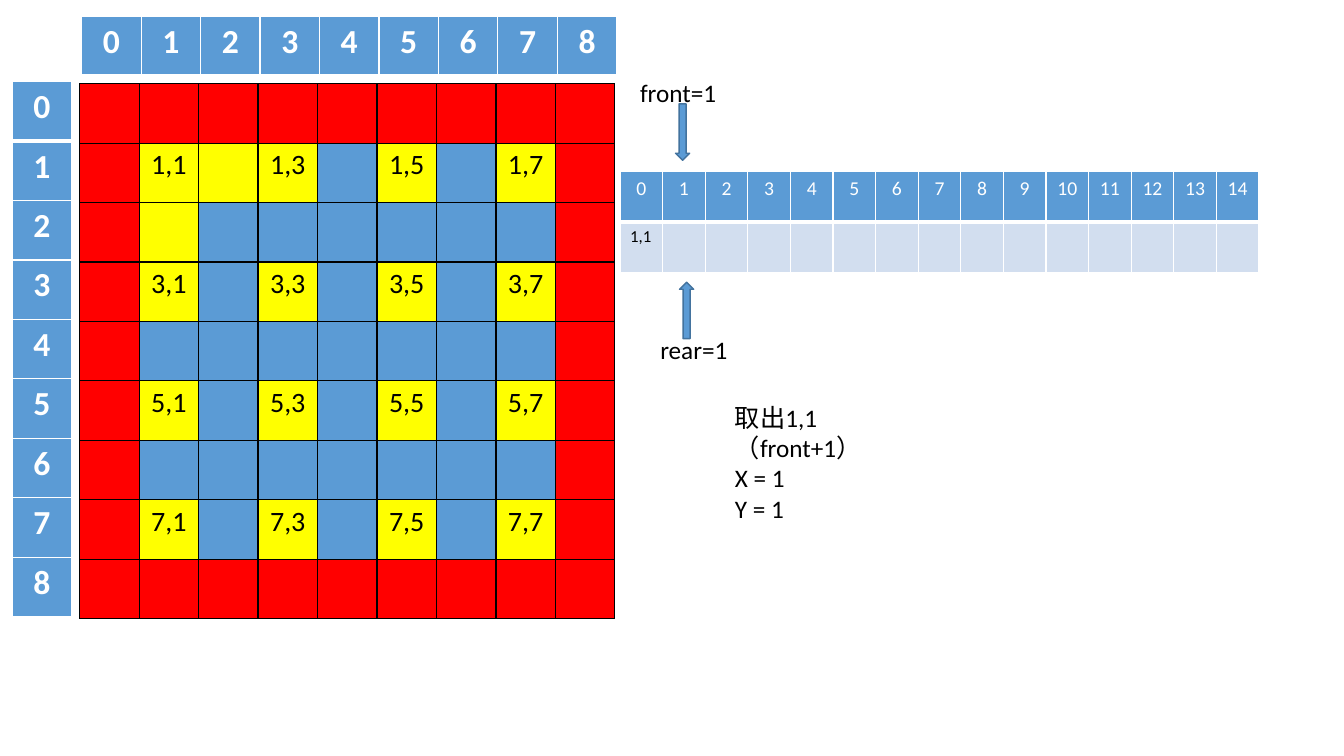
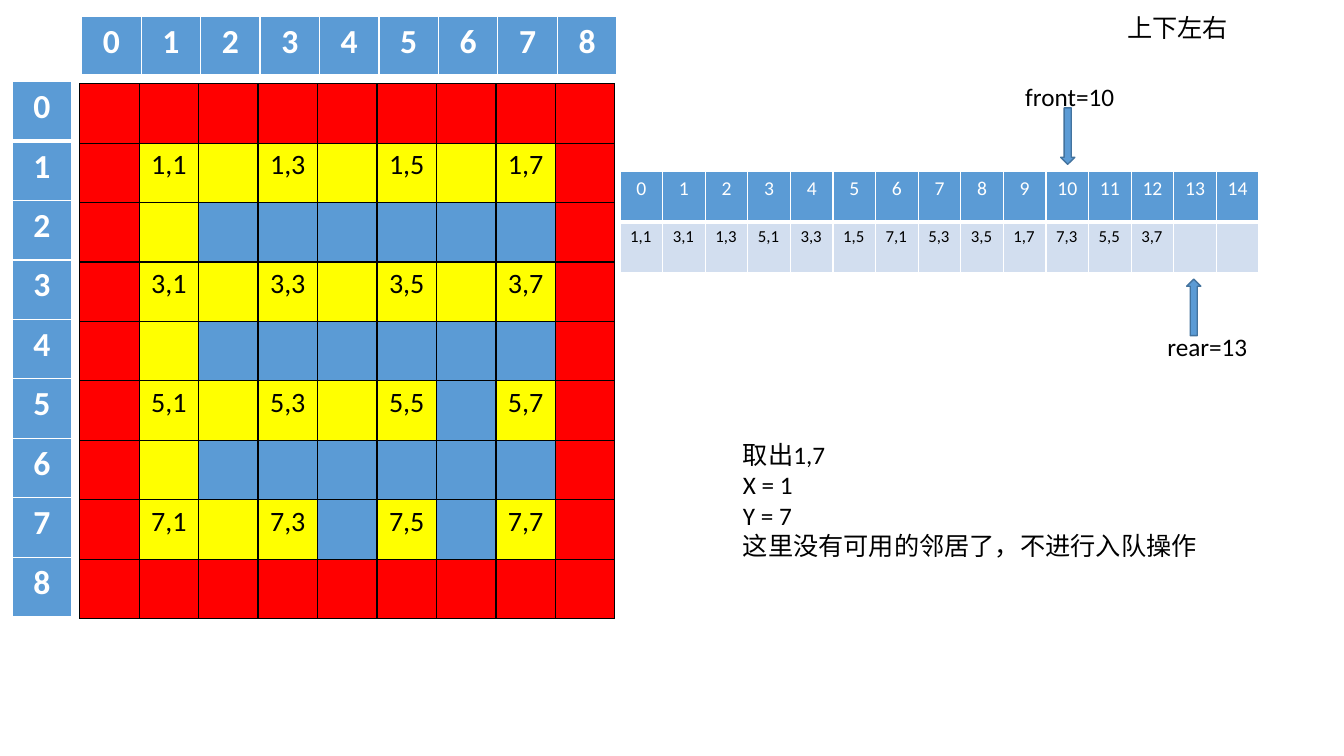
from pptx import Presentation
from pptx.dml.color import RGBColor
from pptx.enum.shapes import MSO_SHAPE
from pptx.enum.text import PP_ALIGN
from pptx.oxml.ns import qn
from pptx.util import Inches, Pt
from lxml import etree

UP = MSO_SHAPE.UP_ARROW
LEFT, MID = PP_ALIGN.LEFT, PP_ALIGN.CENTER
FONT = "Calibri"
BLUE, PALE, EDGE = "5B9BD5", "D2DEEF", "43739E"
RED, GOLD, BLACK, WHITE = "FF0000", "FFFF00", "000000", "FFFFFF"
SIZE, SLOTS = 9, 15
SIDE = 5.31
STEP = SIDE / SIZE


def color(code):
    return RGBColor.from_string(code)


def write(para, text, size, ink, bold=False, align=LEFT):
    para.alignment = align
    run = para.add_run()
    run.text = text
    font = run.font
    font.name, font.size, font.bold = FONT, Pt(size), bold
    font.color.rgb = color(ink)


def border(cell, ink, top=1, bottom=1):
    props = cell._tc.get_or_add_tcPr()
    for tag, width in (("lnL", 1), ("lnR", 1), ("lnT", top), ("lnB", bottom)):
        line = etree.SubElement(props, qn("a:" + tag), w=str(Pt(width)))
        fill = etree.SubElement(line, qn("a:solidFill"))
        etree.SubElement(fill, qn("a:srgbClr"), val=ink)


def paint(cell, fill):
    cell.fill.solid()
    cell.fill.fore_color.rgb = color(fill)


def table(slide, box, rows, cols):
    x, y, w, h = map(Inches, box)
    grid = slide.shapes.add_table(rows, cols, x, y, w, h).table
    grid.first_row = grid.horz_banding = False
    for col in grid.columns:
        col.width = Inches(box[2] / cols)
    for row in grid.rows:
        row.height = Inches(box[3] / rows)
    return grid


# Maze: red walls, yellow rooms and opened passages
def maze(slide, box, opened):
    grid = table(slide, box, SIZE, SIZE)
    for r in range(SIZE):
        for c in range(SIZE):
            cell = grid.cell(r, c)
            room = r % 2 and c % 2
            border(cell, BLACK)
            if {r, c} & {0, SIZE - 1}:
                paint(cell, RED)
            else:
                paint(cell, GOLD if room or (r, c) in opened else BLUE)
            if room:
                write(cell.text_frame.paragraphs[0], f"{r},{c}", 20, BLACK,
                      align=MID)


# Row or column of index numbers beside the maze
def ruler(slide, box, rows, cols):
    grid = table(slide, box, rows, cols)
    for i, cell in enumerate(grid.iter_cells()):
        border(cell, WHITE, 3 if rows > 1 and i == 1 else 1,
               3 if rows == 1 or i == 0 else 1)
        paint(cell, BLUE)
        write(cell.text_frame.paragraphs[0], str(i), 24, WHITE, True, MID)


# Queue: slot numbers above, stored cells below
def queue(slide, box, items):
    grid = table(slide, box, 2, SLOTS)
    for i in range(SLOTS):
        head, slot = grid.cell(0, i), grid.cell(1, i)
        border(head, WHITE, bottom=3)
        border(slot, WHITE, top=3)
        paint(head, BLUE)
        paint(slot, PALE)
        write(head.text_frame.paragraphs[0], str(i), 14, WHITE, align=MID)
        if i < len(items):
            write(slot.text_frame.paragraphs[0], items[i], 12, BLACK)


def note(shapes, box, lines, wrap=False):
    frame = shapes.add_textbox(*map(Inches, box)).text_frame
    frame.word_wrap = wrap
    for i, line in enumerate(lines):
        para = frame.add_paragraph() if i else frame.paragraphs[0]
        write(para, line, 18, BLACK)


# Pointer: a label with its arrow, grouped
def pointer(slide, box, text, dx, dy, turn=0):
    shapes = slide.shapes.add_group_shape().shapes
    x, y = box[:2]
    arrow = shapes.add_shape(UP, Inches(x + dx), Inches(y + dy),
                             Inches(0.14), Inches(0.56))
    arrow.rotation = turn
    arrow.shadow.inherit = False
    arrow.fill.solid()
    arrow.fill.fore_color.rgb = color(BLUE)
    arrow.line.color.rgb = color(EDGE)
    arrow.line.width = Pt(1)
    note(shapes, box, [text])


# One step of the search
def stage(deck, opened, items, front, rear):
    slide = deck.slides.add_slide(deck.slide_layouts[6])
    maze(slide, (0.79, 0.83, SIDE, SIDE), opened)
    ruler(slide, (0.81, 0.16, SIDE, STEP), 1, SIZE)
    ruler(slide, (0.12, 0.81, STEP, SIDE), SIZE, 1)
    queue(slide, (6.15, 1.7, 6.34, 1), items)
    pointer(slide, *front, 0.45, 0.31, 180)
    pointer(slide, *rear, 0.29, -0.47)
    return slide.shapes


def main():
    deck = Presentation()
    deck.slide_width, deck.slide_height = Inches(13.33), Inches(7.5)

    # First cell taken out
    shapes = stage(deck, {(1, 2), (2, 1)}, ["1,1"],
                   ((6.25, 0.72, 0.97, 0.4), "front=1"),
                   ((6.45, 3.27, 0.88, 0.4), "rear=1"))
    note(shapes, (7.19, 3.94, 2.1, 1.31),
         ["取出1,1（front+1）", "X = 1", "Y = 1"], True)

    # Cell without free neighbours
    opened = {(1, 2), (1, 4), (1, 6), (2, 1), (3, 2), (3, 4), (3, 6),
              (4, 1), (5, 2), (5, 4), (6, 1), (7, 2)}
    items = ["1,1", "3,1", "1,3", "5,1", "3,3", "1,5", "7,1",
             "5,3", "3,5", "1,7", "7,3", "5,5", "3,7"]
    shapes = stage(deck, opened, items,
                   ((10.07, 0.76, 1.09, 0.4), "front=10"),
                   ((11.48, 3.24, 1, 0.4), "rear=13"))
    note(shapes, (7.27, 4.31, 4.75, 1.31),
         ["取出1,7", "X = 1", "Y = 7",
          "这里没有可用的邻居了，不进行入队操作"])
    note(shapes, (11.08, 0.07, 1.21, 0.4), ["上下左右"])

    deck.save("out.pptx")


if __name__ == "__main__":
    main()
